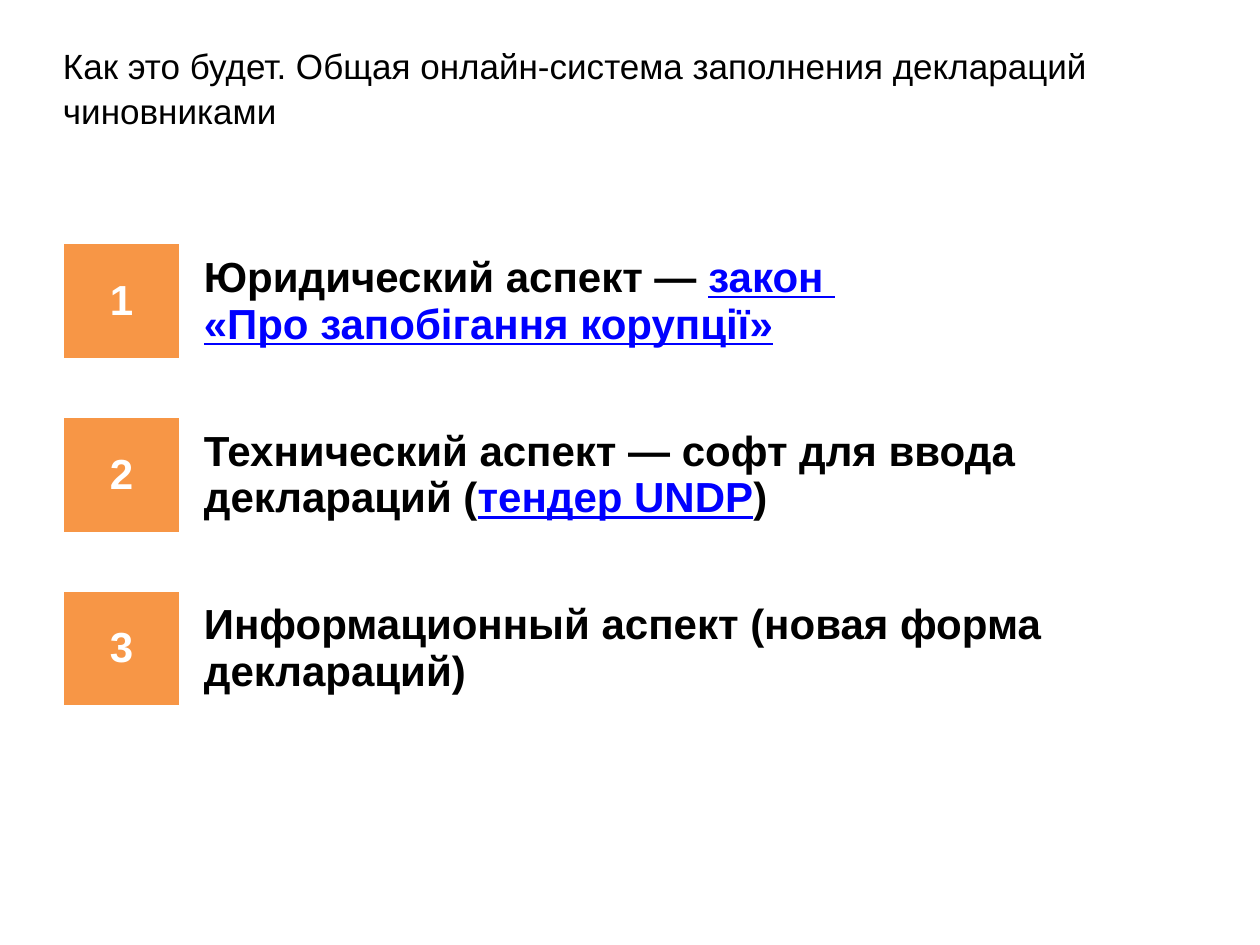
from pptx import Presentation
from pptx.dml.color import RGBColor
from pptx.enum.text import MSO_ANCHOR, PP_ALIGN
from pptx.util import Cm, Pt

MIDDLE = MSO_ANCHOR.MIDDLE
LEFT, CENTER = PP_ALIGN.LEFT, PP_ALIGN.CENTER
BLACK, WHITE, ORANGE, BLUE = "000000", "FFFFFF", "F79646", "0000FF"
PLAIN_TABLE_STYLE = "{2D5ABB26-0587-4C30-8999-92F81FD0307C}"

TITLE = "Как это будет. Общая онлайн-система заполнения деклараций чиновниками"
# Each aspect is a list of paragraphs, each paragraph a list of (text, is_link).
ASPECTS = [
    [[("Юридический аспект — ", False), ("закон ", True)],
     [("«Про запобігання корупції»", True)]],
    [[("Технический аспект — софт для ввода деклараций (", False),
      ("тендер UNDP", True), (")", False)]],
    [[("Информационный аспект (новая форма деклараций)", False)]],
]
ASPECT_HEIGHTS = [2.3, 2.13, 2.13]
GAP_HEIGHT = 1.21
COLUMN_WIDTHS = [2.32, 20.09]


def color(hex_code):
    return RGBColor.from_string(hex_code)


def add_text(para, text, size=24, hex_code=BLACK, bold=True, underline=False, align=LEFT):
    para.alignment = align
    span = para.add_run()
    span.text = text
    span.font.name = "Arial"
    span.font.size = Pt(size)
    span.font.bold = bold
    span.font.underline = underline
    span.font.color.rgb = color(hex_code)


def add_title(page):
    box = page.shapes.add_textbox(Cm(1.27), Cm(0.76), Cm(22.86), Cm(1.96))
    frame = box.text_frame
    frame.word_wrap = True
    frame.vertical_anchor = MIDDLE
    frame.margin_left = frame.margin_right = frame.margin_top = frame.margin_bottom = 0
    para = frame.paragraphs[0]
    para.line_spacing = 1.07
    add_text(para, TITLE, size=20, bold=False)


def fill_number(cell, number):
    cell.fill.solid()
    cell.fill.fore_color.rgb = color(ORANGE)
    cell.vertical_anchor = MIDDLE
    add_text(cell.text_frame.paragraphs[0], str(number), hex_code=WHITE, align=CENTER)


def fill_aspect(cell, paragraphs):
    cell.vertical_anchor = MIDDLE
    cell.margin_left = Cm(0.5)
    frame = cell.text_frame
    for index, spans in enumerate(paragraphs):
        para = frame.add_paragraph() if index else frame.paragraphs[0]
        for text, is_link in spans:
            add_text(para, text, hex_code=BLUE if is_link else BLACK, underline=is_link)


def add_aspect_table(page):
    """Numbered aspects, with an empty row between neighbours."""
    row_count = 2 * len(ASPECTS) - 1
    height = sum(ASPECT_HEIGHTS) + GAP_HEIGHT * (len(ASPECTS) - 1)
    shape = page.shapes.add_table(row_count, 2, Cm(1.29), Cm(4.92),
                                  Cm(sum(COLUMN_WIDTHS)), Cm(height))
    table = shape.table
    table.first_row = table.horz_banding = False
    table._tbl.tblPr[0].text = PLAIN_TABLE_STYLE
    for column, width in zip(table.columns, COLUMN_WIDTHS):
        column.width = Cm(width)
    for row in table.rows:
        row.height = Cm(GAP_HEIGHT)
        for cell in row.cells:
            cell.fill.background()
    for index, (paragraphs, row_height) in enumerate(zip(ASPECTS, ASPECT_HEIGHTS)):
        table.rows[2 * index].height = Cm(row_height)
        fill_number(table.cell(2 * index, 0), index + 1)
        fill_aspect(table.cell(2 * index, 1), paragraphs)


def main():
    deck = Presentation()
    deck.slide_width, deck.slide_height = Cm(25.4), Cm(19.05)
    page = deck.slides.add_slide(deck.slide_layouts[6])
    add_title(page)
    add_aspect_table(page)
    deck.save("out.pptx")


if __name__ == "__main__":
    main()
